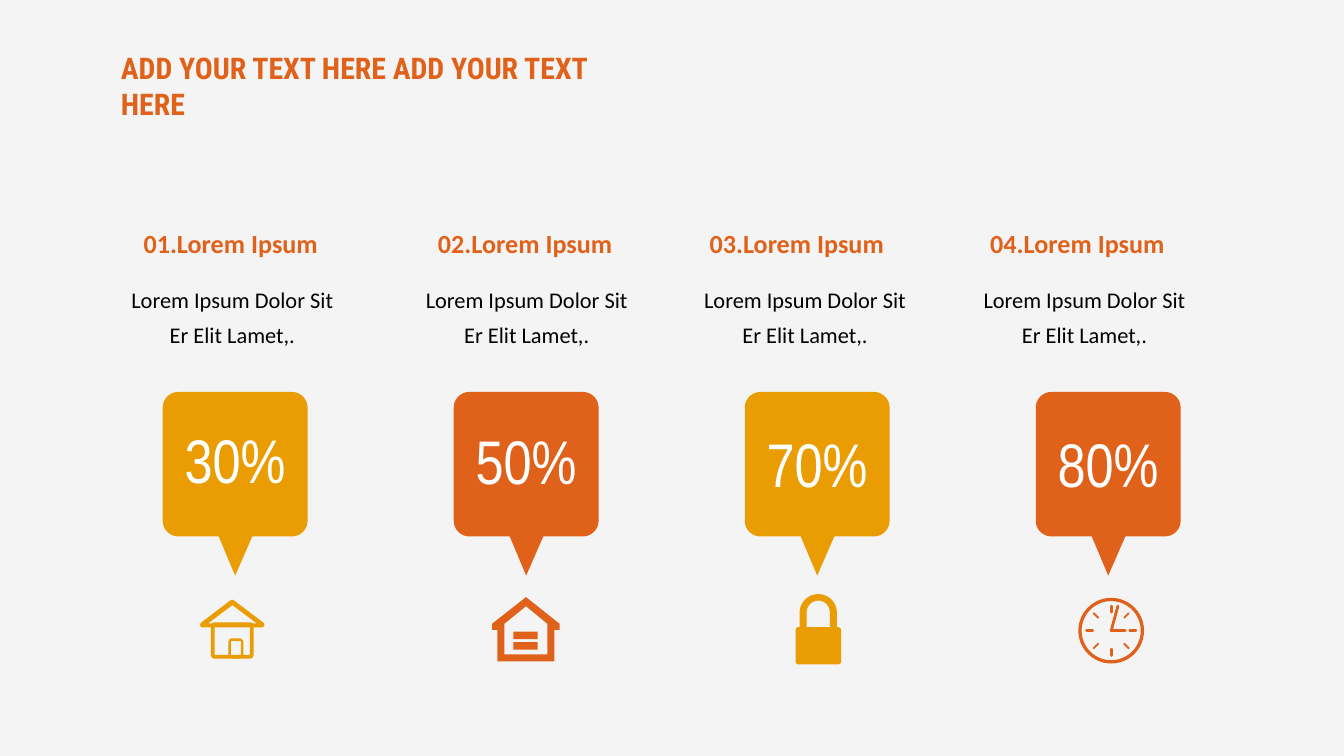
from math import cos, radians, sin

from lxml.etree import SubElement
from pptx import Presentation
from pptx.dml.color import RGBColor
from pptx.enum.shapes import MSO_CONNECTOR as CONN, MSO_SHAPE as SHAPE
from pptx.enum.text import MSO_ANCHOR as ANCHOR, MSO_AUTO_SIZE as AUTO, PP_ALIGN as ALIGN
from pptx.oxml.ns import qn
from pptx.util import Pt

rgb = RGBColor.from_string
AMBER, ORANGE = "E99D03", "DF611A"


def rounded(x, y, w, h, r):
    corners = [(x + w - r, y + r, -90), (x + w - r, y + h - r, 0),
               (x + r, y + h - r, 90), (x + r, y + r, 180)]
    return [(cx + r * cos(radians(a + t)), cy + r * sin(radians(a + t)))
            for cx, cy, a in corners for t in range(0, 91, 10)]


def outline(color, *contours):
    loops = [[(Pt(x), Pt(y)) for x, y in c] for c in contours]
    fb = shapes.build_freeform(*loops[0][0])
    fb.add_line_segments(loops[0][1:])
    for loop in loops[1:]:
        fb.move_to(*loop[0])
        fb.add_line_segments(loop[1:])
    sp = fb.convert_to_shape()
    sp.shadow.inherit = False
    sp.fill.solid()
    sp.fill.fore_color.rgb = rgb(color)
    sp.line.fill.background()


prs = Presentation()
prs.slide_width, prs.slide_height = Pt(720), Pt(405)
s = prs.slides.add_slide(prs.slide_layouts[5])
shapes = s.shapes
s.background.fill.solid()
s.background.fill.fore_color.rgb = rgb("F4F4F4")

title = shapes.title
title.left, title.top, title.width, title.height = Pt(59.8), Pt(23.8), Pt(298), Pt(25)
tf = title.text_frame
tf.text = "ADD YOUR TEXT HERE ADD YOUR TEXT HERE"
tf.word_wrap = True
tf.auto_size = AUTO.SHAPE_TO_FIT_TEXT
tf.vertical_anchor = ANCHOR.TOP
tf.margin_left, tf.margin_right = Pt(5), Pt(20)
tf.margin_top = tf.margin_bottom = Pt(2.9)
p = tf.paragraphs[0]
p.alignment = ALIGN.LEFT
p.font.name, p.font.size, p.font.bold = "Roboto Condensed", Pt(16), True
p.font.color.rgb = rgb(ORANGE)

columns = [
    ("01", "30%", AMBER, 69.8, 59, 223.2),
    ("02", "50%", ORANGE, 227.5, 216.7, 223.9),
    ("03", "70%", AMBER, 373, 365.8, 225.4),
    ("04", "80%", ORANGE, 523.4, 515.5, 225.4),
]
for i, (number, percent, color, head_x, body_x, percent_y) in enumerate(columns):
    x = 87.2 + 155.9 * i
    bubble = rounded(x, 210, 77.6, 77.4, 8.4)
    half = len(bubble) // 2
    tail = [(x + 48, 287.4), (x + 38.8, 308.4), (x + 30, 287.4)]
    outline(color, bubble[:half] + tail + bubble[half:])

    texts = [
        (percent, x + 3.9, percent_y, 69.8, 45.4, "Arial Narrow", 33, "FFFFFF", ALIGN.CENTER),
        ("Lorem Ipsum Dolor Sit Er Elit Lamet,.", body_x, 145.4, 131, 45.4,
         "Calibri", 12, "000000", ALIGN.CENTER),
        (f"{number}.Lorem Ipsum", head_x, 118.1, 108.7, 24.5, "Calibri", 14, ORANGE, ALIGN.LEFT),
    ]
    for text, left, top, w, h, font, size, ink, align in texts:
        tf = shapes.add_textbox(Pt(left), Pt(top), Pt(w), Pt(h)).text_frame
        tf.text = text
        tf.word_wrap = text != percent
        tf.auto_size = AUTO.SHAPE_TO_FIT_TEXT
        if text == percent:
            tf.margin_left = tf.margin_right = Pt(5)
            tf.margin_top = tf.margin_bottom = Pt(2.9)
        p = tf.paragraphs[0]
        p.alignment = align
        p.font.name, p.font.size = font, Pt(size)
        p.font.bold = size == 14
        p.font.color.rgb = rgb(ink)
        if size == 12:
            p.line_spacing = 1.3

for x, y, w, h, r, edge in [(113, 333.4, 22.9, 19.5, 2.2, 2), (122.4, 342, 8, 10.8, 2, 1.3)]:
    outline(AMBER, rounded(x, y, w, h, r),
            rounded(x + edge, y + edge, w - 2 * edge, h - 2 * edge, 0.5))
outline(AMBER,
        [(124.5, 321.3), (125.4, 321.7), (141.3, 333.8), (141.7, 335.3), (140.6, 336.1),
         (108.2, 336.1), (107.1, 335.3), (107.5, 333.8), (123.4, 321.7)],
        [(137.5, 334), (124.5, 324.2), (111.5, 334)])

outline(ORANGE,
        [(281.8, 319.9), (299.8, 334.2), (299.8, 337.5), (297, 337.5), (297, 354.4),
         (266.5, 354.4), (266.5, 337.5), (263.6, 337.5), (263.6, 334.2)],
        [(281.8, 324.8), (293.2, 334.2), (293.2, 350.6), (270.2, 350.6), (270.2, 334.2)],
        *[[(275, y), (288, y), (288, y + 4), (275, y + 4)] for y in (338.4, 344.1)])

outer = rounded(428.4, 318.3, 20, 30, 10)
inner = rounded(432.2, 321.8, 12.4, 30, 6.2)
quarter = len(outer) // 4
outer_arch = outer[-quarter:] + outer[:quarter]
inner_arch = inner[-quarter:] + inner[:quarter]
outline(AMBER, rounded(426.2, 336, 24.5, 20, 1.8),
        outer_arch + [(448.4, 336), (444.6, 336)] + inner_arch[::-1] + [(432.2, 336), (428.4, 336)])

cx, cy = 595.3, 337.9
ring = shapes.add_shape(SHAPE.DONUT, Pt(cx - 17.6), Pt(cy - 17.6), Pt(35.2), Pt(35.2))
ring.adjustments[0] = 0.05
ring.shadow.inherit = False
ring.fill.solid()
ring.fill.fore_color.rgb = rgb(ORANGE)
ring.line.fill.background()
strokes = [(0, 0, 3.6, -13.2, 1.5), (0, 0, 7.5, 0, 1.5)]
for k in range(8):
    c, d = cos(radians(45 * k)), sin(radians(45 * k))
    strokes.append((9.9 * c, 9.9 * d, 13.2 * c, 13.2 * d, 1 if k % 2 else 1.5))
for x1, y1, x2, y2, width in strokes:
    line = shapes.add_connector(CONN.STRAIGHT, Pt(cx + x1), Pt(cy + y1), Pt(cx + x2), Pt(cy + y2))
    line.line.color.rgb = rgb(ORANGE)
    line.line.width = Pt(width)
    spPr = line._element.spPr
    spPr.find(qn("a:ln")).set("cap", "rnd")
    SubElement(spPr, qn("a:effectLst"))

prs.save("out.pptx")
